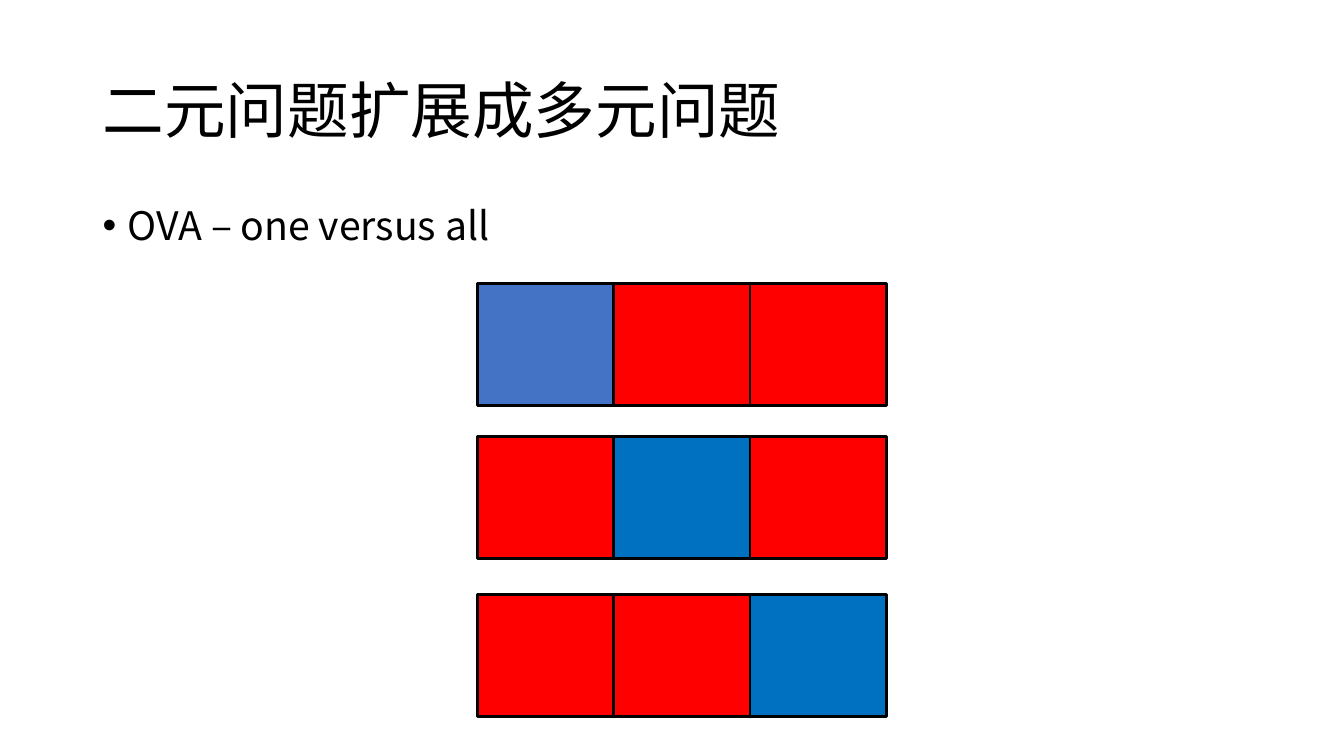
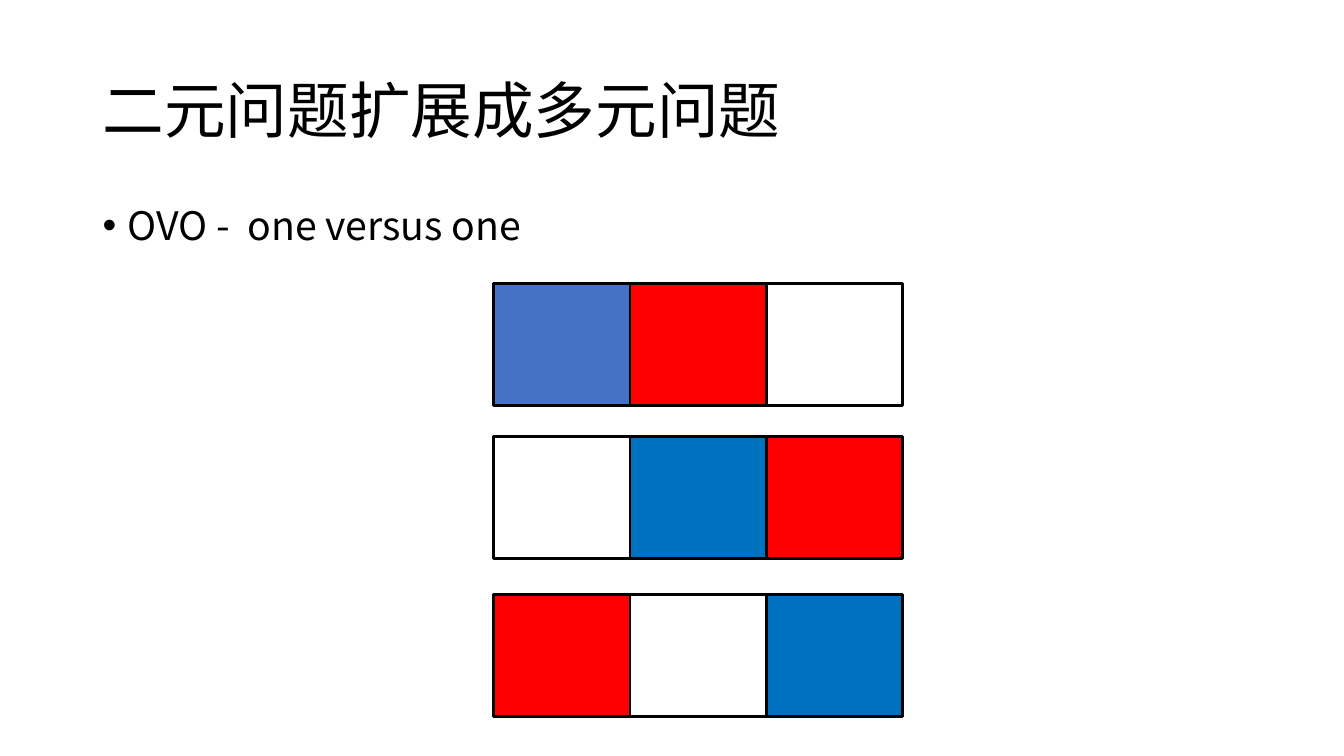
from dataclasses import dataclass

from lxml.etree import SubElement
from pptx import Presentation
from pptx.dml.color import RGBColor
from pptx.enum.shapes import MSO_SHAPE
from pptx.enum.text import MSO_ANCHOR
from pptx.oxml.ns import qn
from pptx.util import Inches, Pt

TITLE = "二元问题扩展成多元问题"
STRATEGIES = [
    {
        "summary": "OVA – one versus all",
        "left": 35.55,
        "classifiers": [
            ("first", "rest", "rest"),
            ("rest", "target", "rest"),
            ("rest", "rest", "target"),
        ],
    },
    {
        "summary": "OVO -  one versus one",
        "left": 36.75,
        "classifiers": [
            ("first", "rest", "unused"),
            ("unused", "target", "rest"),
            ("rest", "unused", "target"),
        ],
    },
]

SLIDE_SIZE = (Inches(13.33), Inches(7.5))
TITLE_AREA = (6.9, 5.33, 86.25, 19.33)
SUMMARY_AREA = (6.9, 26.67, 86.25, 63.47)
CLASSIFIER_TOPS = (37.47, 57.73, 78.67)
CLASS_SIZE = (10.13, 16.13)


@dataclass(frozen=True)
class Theme:
    font: str = "Noto Sans CJK SC"
    ink: str = "000000"
    first: str = "4472C4"
    target: str = "0070C0"
    rest: str = "FF0000"
    unused: str = "FFFFFF"
    title_size: int = 44
    summary_size: int = 28
    outline: int = 2

    def color(self, role):
        return RGBColor.from_string(getattr(self, role))


THEME = Theme()


def apply(target, formats):
    for name, value in formats.items():
        setattr(target, name, value)


def from_percent(area):
    return [round(share * SLIDE_SIZE[i % 2] / 100) for i, share in enumerate(area)]


def add_text(slide, text, area, size, anchor, space_before=0):
    frame = slide.shapes.add_textbox(*from_percent(area)).text_frame
    apply(frame, {"word_wrap": True, "vertical_anchor": anchor})
    paragraph = frame.paragraphs[0]
    apply(paragraph, {"line_spacing": 0.9, "space_before": Pt(space_before)})
    run = paragraph.add_run()
    run.text = text
    apply(run.font, {"name": THEME.font, "size": Pt(size)})
    run.font.color.rgb = THEME.color("ink")
    SubElement(run.font._element, qn("a:ea"), typeface=THEME.font)
    return paragraph


def add_bullet(paragraph):
    properties = paragraph._p.get_or_add_pPr()
    indent = Inches(0.25)
    properties.set("marL", str(indent))
    properties.set("indent", str(-indent))
    SubElement(properties, qn("a:buFont"), typeface="Arial")
    SubElement(properties, qn("a:buChar"), char="•")


def add_class(slide, role, left, top):
    box = slide.shapes.add_shape(
        MSO_SHAPE.FLOWCHART_PROCESS, *from_percent((left, top, *CLASS_SIZE))
    )
    box.shadow.inherit = False
    box.fill.solid()
    box.fill.fore_color.rgb = THEME.color(role)
    box.line.width = Pt(THEME.outline)
    box.line.color.rgb = THEME.color("ink")


def add_strategy(deck, strategy):
    slide = deck.slides.add_slide(deck.slide_layouts[6])
    add_text(slide, TITLE, TITLE_AREA, THEME.title_size, MSO_ANCHOR.MIDDLE)
    add_bullet(
        add_text(slide, strategy["summary"], SUMMARY_AREA, THEME.summary_size,
                 MSO_ANCHOR.TOP, space_before=10)
    )
    for top, classifier in zip(CLASSIFIER_TOPS, strategy["classifiers"]):
        for column, role in enumerate(classifier):
            add_class(slide, role, strategy["left"] + column * CLASS_SIZE[0], top)


def main():
    deck = Presentation()
    apply(deck, dict(zip(("slide_width", "slide_height"), SLIDE_SIZE)))
    for strategy in STRATEGIES:
        add_strategy(deck, strategy)
    deck.save("out.pptx")


if __name__ == "__main__":
    main()
